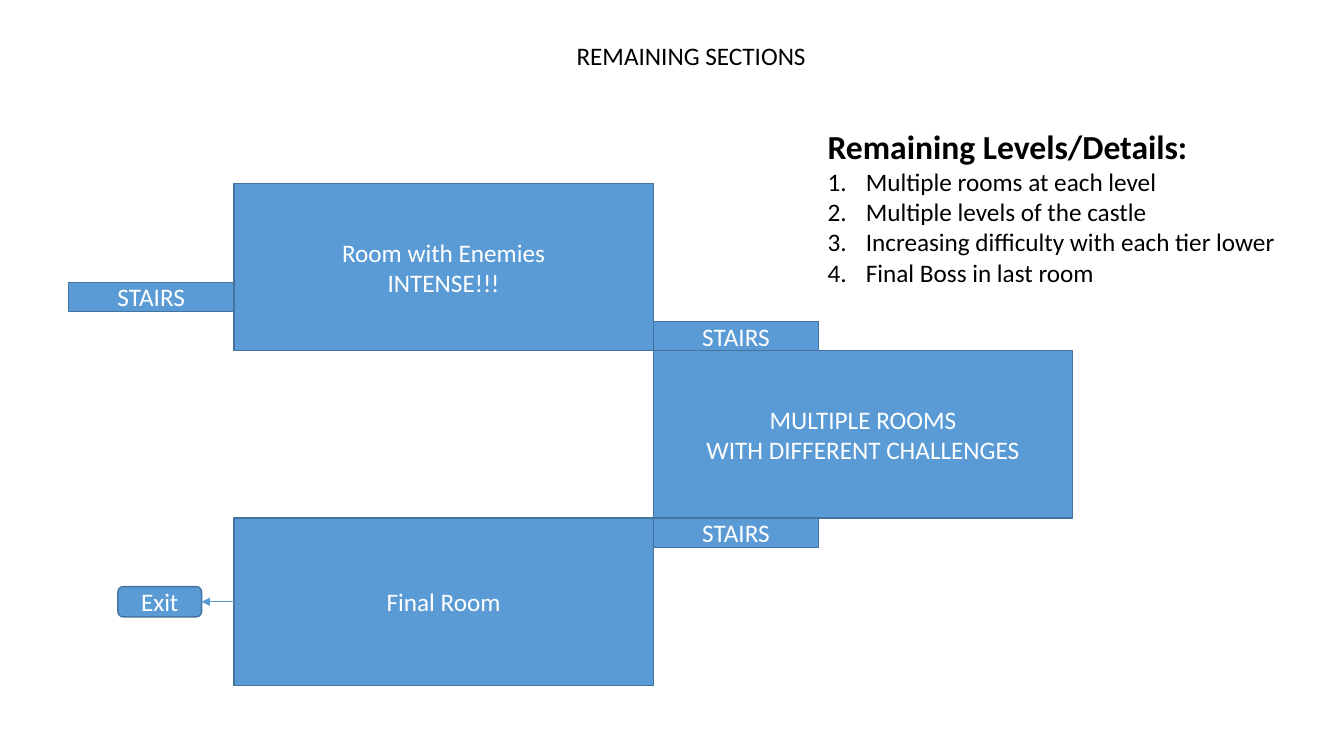
"""Build the castle map slide with its remaining sections."""
from lxml import etree
from pptx import Presentation
from pptx import util as u
from pptx.dml.color import RGBColor
from pptx.enum import shapes, text
from pptx.oxml.ns import qn

BLUE = RGBColor(0x5B, 0x9B, 0xD5)
DARK_BLUE = RGBColor(0x43, 0x73, 0x9E)
WHITE = RGBColor(0xFF, 0xFF, 0xFF)
BLACK = RGBColor(0, 0, 0)
FONT = "Calibri"
ROOM_WIDTH, ROOM_HEIGHT = 4.16, 1.66
STAIRS_WIDTH, STAIRS_HEIGHT = 1.64, 0.29
EXIT_WIDTH, EXIT_HEIGHT, EXIT_GAP = 0.83, 0.3, 0.32
DETAILS = [
    "Multiple rooms at each level",
    "Multiple levels of the castle",
    "Increasing difficulty with each tier lower",
    "Final Boss in last room",
]


def set_font(paragraph, color, size=18, bold=False):
    """Set the font of a whole paragraph."""
    font = paragraph.font
    font.name, font.size, font.bold = FONT, u.Pt(size), bold
    font.color.rgb = color


def add_block(slide, left, top, width, height, lines,
              kind=shapes.MSO_SHAPE.RECTANGLE):
    """Add a blue block with centred white lines of text."""
    block = slide.shapes.add_shape(
        kind, u.Inches(left), u.Inches(top), u.Inches(width), u.Inches(height))
    block.shadow.inherit = False
    block.fill.solid()
    block.fill.fore_color.rgb = BLUE
    block.line.color.rgb = DARK_BLUE
    block.line.width = u.Pt(1)
    frame = block.text_frame
    frame.word_wrap = True
    frame.vertical_anchor = text.MSO_ANCHOR.MIDDLE
    frame.text = "\n".join(lines)
    for paragraph in frame.paragraphs:
        paragraph.alignment = text.PP_ALIGN.CENTER
        set_font(paragraph, WHITE)
    return block


def add_exit_arrow(slide, room, exit_block):
    """Join the left side of a room to the exit with an arrow."""
    arrow = slide.shapes.add_connector(shapes.MSO_CONNECTOR.STRAIGHT, 0, 0, 0, 0)
    arrow.begin_connect(room, 1)
    arrow.end_connect(exit_block, 3)
    arrow.line.color.rgb = BLUE
    arrow.line.width = u.Pt(0.5)
    etree.SubElement(arrow.line._get_or_add_ln(), qn("a:tailEnd"), type="triangle")
    etree.SubElement(arrow._element.spPr, qn("a:effectLst"))


def add_map(slide, left, top):
    """Place the rooms, stairs and exit from the left top corner of the map."""
    room_left = left + STAIRS_WIDTH
    right = room_left + ROOM_WIDTH
    middle_top = top + ROOM_HEIGHT
    final_top = middle_top + ROOM_HEIGHT

    rooms = [
        (room_left, top, ["Room with Enemies", "INTENSE!!!"]),
        (right, middle_top, ["MULTIPLE ROOMS", "WITH DIFFERENT CHALLENGES"]),
        (room_left, final_top, ["Final Room"]),
    ]
    for room_x, room_y, lines in rooms:
        room = add_block(slide, room_x, room_y, ROOM_WIDTH, ROOM_HEIGHT, lines)

    stairs = [(left, top + 0.98), (right, middle_top - STAIRS_HEIGHT),
              (right, final_top)]
    for stairs_x, stairs_y in stairs:
        add_block(slide, stairs_x, stairs_y, STAIRS_WIDTH, STAIRS_HEIGHT, ["STAIRS"])

    exit_block = add_block(
        slide, room_left - EXIT_GAP - EXIT_WIDTH,
        final_top + (ROOM_HEIGHT - EXIT_HEIGHT) / 2, EXIT_WIDTH, EXIT_HEIGHT,
        ["Exit"], shapes.MSO_SHAPE.ROUNDED_RECTANGLE)
    add_exit_arrow(slide, room, exit_block)


def add_text_box(slide, left, top, width, height, lines, wrap):
    """Add a text box with black lines and return its paragraphs."""
    box = slide.shapes.add_textbox(
        u.Inches(left), u.Inches(top), u.Inches(width), u.Inches(height))
    frame = box.text_frame
    frame.word_wrap = wrap
    frame.auto_size = text.MSO_AUTO_SIZE.SHAPE_TO_FIT_TEXT
    frame.text = "\n".join(lines)
    for paragraph in frame.paragraphs:
        set_font(paragraph, BLACK)
    return frame.paragraphs


def add_details(slide, left, top, width, height):
    """Add the bold heading and the numbered details."""
    heading, *items = add_text_box(
        slide, left, top, width, height,
        ["Remaining Levels/Details:", *DETAILS], True)
    set_font(heading, BLACK, 24, True)
    indent = u.Inches(0.38)
    for item in items:
        properties = item._p.get_or_add_pPr()
        properties.set("marL", str(indent))
        properties.set("indent", str(-indent))
        number = etree.Element(qn("a:buAutoNum"), type="arabicPeriod")
        properties.insert(0, number)


def main():
    """Build and save the slide."""
    presentation = Presentation()
    presentation.slide_width = u.Inches(13.33)
    presentation.slide_height = u.Inches(7.5)
    slide = presentation.slides.add_slide(presentation.slide_layouts[6])
    add_map(slide, 0.68, 1.82)
    add_text_box(slide, 5.62, 0.35, 2.5, 0.4, ["REMAINING SECTIONS"], False)
    add_details(slide, 8.11, 1.2, 4.67, 1.72)
    presentation.save("out.pptx")


if __name__ == "__main__":
    main()
